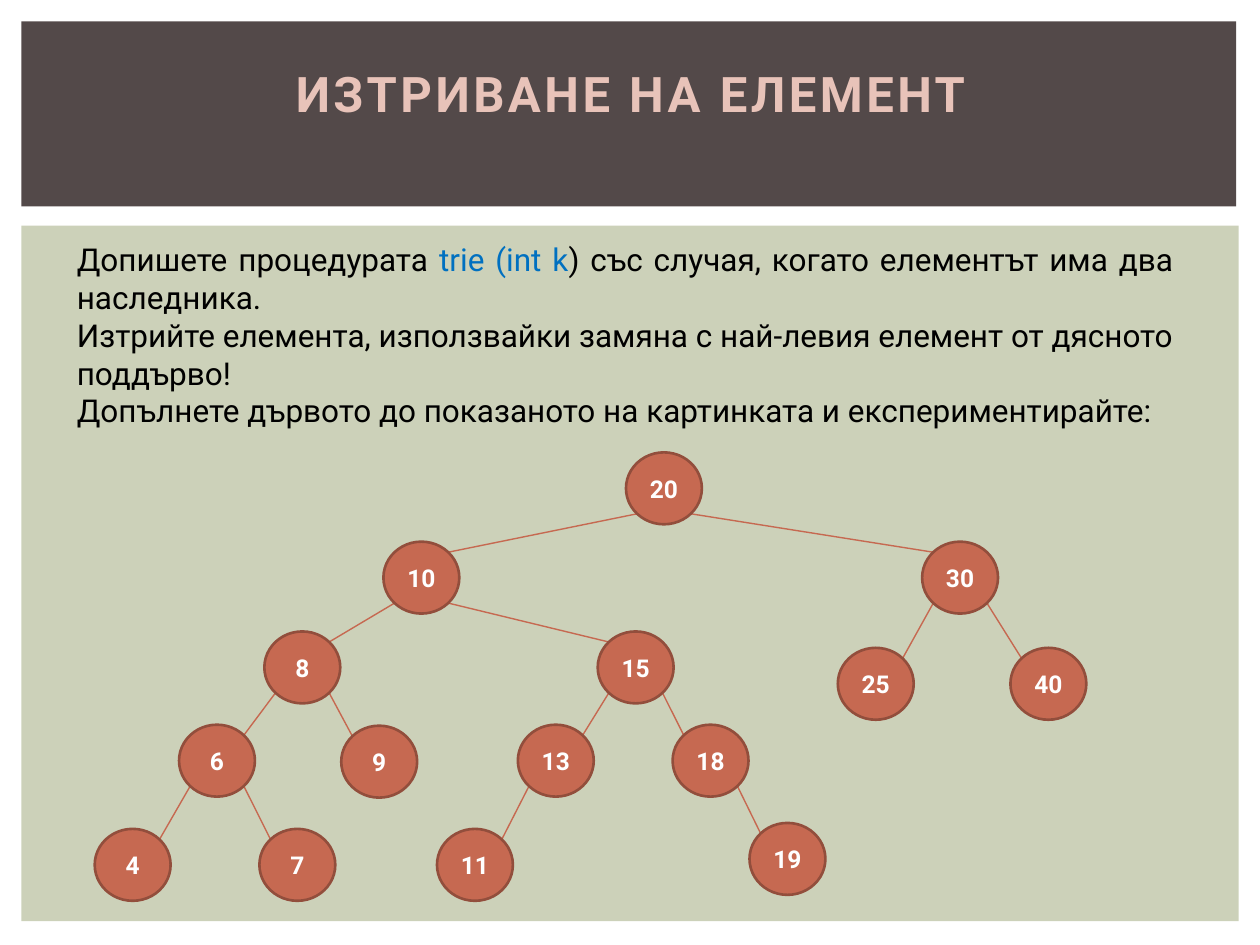
import math
from dataclasses import dataclass
from typing import Optional

import lxml.etree
import pptx
import pptx.dml.color
import pptx.enum.shapes
import pptx.enum.text
import pptx.oxml.ns
import pptx.util

Cm = pptx.util.Cm
Pt = pptx.util.Pt
RGBColor = pptx.dml.color.RGBColor
MSO_SHAPE = pptx.enum.shapes.MSO_SHAPE
PP_ALIGN = pptx.enum.text.PP_ALIGN
MSO_ANCHOR = pptx.enum.text.MSO_ANCHOR

FONT = "Roboto"
HEADER = RGBColor(0x53, 0x49, 0x49)
BODY = RGBColor(0xCC, 0xD1, 0xB9)
TITLE = RGBColor(0xE8, 0xC3, 0xB9)
BLACK = RGBColor(0x00, 0x00, 0x00)
WHITE = RGBColor(0xFF, 0xFF, 0xFF)
CODE = RGBColor(0x00, 0x70, 0xC0)
NODE_FILL = RGBColor(0xC6, 0x69, 0x51)
NODE_LINE = RGBColor(0x92, 0x4E, 0x3C)

NODE_WIDTH = 1.53
NODE_HEIGHT = 1.45


@dataclass(frozen=True)
class Node:
    """A tree node; left and top are in centimetres."""
    key: int
    left: float
    top: float
    parent: Optional[int] = None


NODES = [
    Node(20, 12.62, 9.12),
    Node(10, 7.73, 10.92, 20),
    Node(30, 18.59, 10.92, 20),
    Node(8, 5.33, 12.73, 10),
    Node(15, 12.05, 12.73, 10),
    Node(25, 16.89, 13.06, 30),
    Node(40, 20.37, 13.06, 30),
    Node(6, 3.61, 14.61, 8),
    Node(9, 6.88, 14.63, 8),
    Node(13, 10.44, 14.61, 15),
    Node(18, 13.56, 14.61, 15),
    Node(4, 1.91, 16.71, 6),
    Node(7, 5.23, 16.71, 6),
    Node(11, 8.81, 16.71, 13),
    Node(19, 15.11, 16.59, 18),
]

PARAGRAPHS = [
    [("Допишете процедурата ", BLACK), ("trie (int k", CODE),
     (") със случая, когато елементът има два наследника.", BLACK)],
    [("Изтрийте елемента, използвайки замяна с най-левия елемент от "
      "дясното поддърво!", BLACK)],
    [("Допълнете дървото до показаното на картинката и "
      "експериментирайте:", BLACK)],
]


def add_run(paragraph, text: str, size: float, color: RGBColor, bold: bool = False):
    run = paragraph.add_run()
    run.text = text
    run.font.name = FONT
    run.font.size = Pt(size)
    run.font.bold = bold
    run.font.color.rgb = color
    return run


def add_band(slide, left: float, top: float, width: float, height: float,
             color: RGBColor) -> None:
    band = slide.shapes.add_shape(
        MSO_SHAPE.RECTANGLE, Cm(left), Cm(top), Cm(width), Cm(height))
    band.shadow.inherit = False
    band.fill.solid()
    band.fill.fore_color.rgb = color
    band.line.fill.background()


def format_title(slide) -> None:
    title = slide.shapes.title
    title.left, title.top = Cm(1.07), Cm(0.99)
    title.width, title.height = Cm(23.29), Cm(2.92)
    frame = title.text_frame
    frame.vertical_anchor = MSO_ANCHOR.MIDDLE
    frame.margin_bottom = Cm(1.28)
    paragraph = frame.paragraphs[0]
    paragraph.alignment = PP_ALIGN.CENTER
    run = add_run(paragraph, "ИЗТРИВАНЕ НА ЕЛЕМЕНТ", 28, TITLE, bold=True)
    run.font._element.set("spc", "200")
    # The placeholder comes first on the slide: bring it in front of the bands.
    title.element.getparent().append(title.element)


def add_task(slide) -> None:
    box = slide.shapes.add_textbox(Cm(1.3), Cm(4.72), Cm(22.61), Cm(4.06))
    frame = box.text_frame
    frame.word_wrap = True
    for index, runs in enumerate(PARAGRAPHS):
        paragraph = frame.add_paragraph() if index else frame.paragraphs[0]
        paragraph.alignment = PP_ALIGN.JUSTIFY
        for text, color in runs:
            add_run(paragraph, text, 18, color)


def add_edge(shapes, parent: Node, child: Node) -> None:
    """Join the lower diagonal of the parent to the facing upper diagonal of the child."""
    side = 1 if child.left > parent.left else -1
    reach_x = side * NODE_WIDTH / 2 * math.sqrt(0.5)
    reach_y = NODE_HEIGHT / 2 * math.sqrt(0.5)
    middle_x, middle_y = NODE_WIDTH / 2, NODE_HEIGHT / 2
    edge = shapes.add_connector(
        pptx.enum.shapes.MSO_CONNECTOR.STRAIGHT,
        Cm(parent.left + middle_x + reach_x), Cm(parent.top + middle_y + reach_y),
        Cm(child.left + middle_x - reach_x), Cm(child.top + middle_y - reach_y))
    edge.line.color.rgb = NODE_FILL
    edge.line.width = Pt(0.79)
    lxml.etree.SubElement(edge.element.spPr, pptx.oxml.ns.qn("a:effectLst"))


def add_node(shapes, node: Node) -> None:
    circle = shapes.add_shape(MSO_SHAPE.OVAL, Cm(node.left), Cm(node.top),
                              Cm(NODE_WIDTH), Cm(NODE_HEIGHT))
    circle.shadow.inherit = False
    circle.fill.solid()
    circle.fill.fore_color.rgb = NODE_FILL
    circle.line.color.rgb = NODE_LINE
    circle.line.width = Pt(1.5)
    frame = circle.text_frame
    frame.margin_left = frame.margin_right = 0
    frame.margin_top = frame.margin_bottom = 0
    frame.vertical_anchor = MSO_ANCHOR.MIDDLE
    paragraph = frame.paragraphs[0]
    paragraph.alignment = PP_ALIGN.CENTER
    add_run(paragraph, str(node.key), 14, WHITE, bold=True)


def add_tree(slide) -> None:
    shapes = slide.shapes.add_group_shape().shapes
    by_key = {node.key: node for node in NODES}
    for node in NODES:
        if node.parent is not None:
            add_edge(shapes, by_key[node.parent], node)
    for node in NODES:
        add_node(shapes, node)


def main() -> None:
    presentation = pptx.Presentation()
    presentation.slide_width = Cm(25.4)
    presentation.slide_height = Cm(19.05)
    slide = presentation.slides.add_slide(presentation.slide_layouts[5])
    add_band(slide, 0.43, 4.55, 24.54, 14.02, BODY)
    add_band(slide, 0.43, 0.43, 24.49, 3.73, HEADER)
    format_title(slide)
    add_task(slide)
    add_tree(slide)
    presentation.save("out.pptx")


if __name__ == "__main__":
    main()
